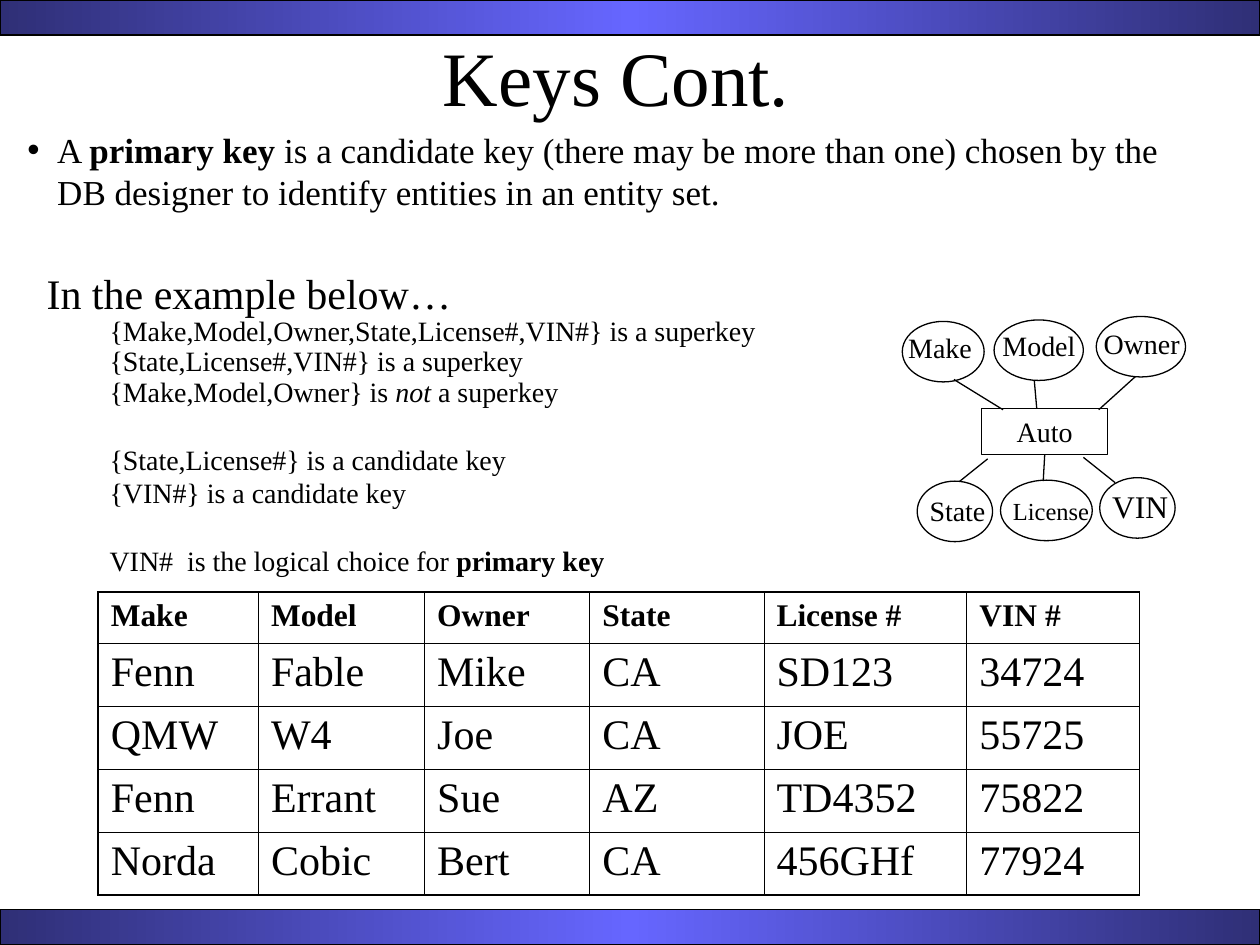
from copy import deepcopy
from dataclasses import dataclass
from typing import NamedTuple

from lxml import etree
from pptx import Presentation
from pptx.dml.color import RGBColor
from pptx.enum.shapes import MSO_CONNECTOR, MSO_SHAPE
from pptx.enum.text import MSO_ANCHOR, MSO_AUTO_SIZE, PP_ALIGN
from pptx.oxml.ns import qn
from pptx.util import Cm, Pt

RECT, OVAL = MSO_SHAPE.RECTANGLE, MSO_SHAPE.OVAL
LINE = MSO_CONNECTOR.STRAIGHT
MIDDLE, TOP = MSO_ANCHOR.MIDDLE, MSO_ANCHOR.TOP
CENTER, LEFT = PP_ALIGN.CENTER, PP_ALIGN.LEFT
FIT, FIXED = MSO_AUTO_SIZE.SHAPE_TO_FIT_TEXT, MSO_AUTO_SIZE.NONE


@dataclass(frozen=True)
class Theme:
    font: str = "Times New Roman"
    ink: RGBColor = RGBColor(0, 0, 0)
    edge: RGBColor = RGBColor(0x2F, 0x2F, 0x76)
    glow: RGBColor = RGBColor(0x66, 0x66, 0xFF)
    title: float = 44
    lead: float = 24
    body: float = 20
    head: float = 18
    note: float = 16
    small: float = 14
    line: float = 0.75
    thin: float = 0.45
    thick: float = 1.08


THEME = Theme()


class Box(NamedTuple):
    x: float
    y: float
    w: float
    h: float

    def lengths(self) -> list:
        return [Cm(v) for v in self]


class Run(NamedTuple):
    text: str
    bold: bool = False
    slant: bool = False


class Item(NamedTuple):
    runs: list[Run]
    space: float = 1.0
    before: float = 0


class Node(NamedTuple):
    """An attribute: its oval, its label's place, and the line to the entity."""
    name: str
    oval: Box
    label: Box
    start: tuple[float, float]
    end: tuple[float, float]
    size: float = THEME.note


GAP = 19.4  # about one line of note text
ITEMS = [
    Item([Run("{Make,Model,Owner,State,License#,VIN#} is a superkey")], 0.9),
    Item([Run("{State,License#,VIN#} is a superkey")], 0.9),
    Item([Run("{Make,Model,Owner} is "), Run("not", slant=True),
          Run(" a superkey")], 0.9),
    Item([Run("{State,License#} is a candidate key")], before=GAP),
    Item([Run("{VIN#} is a candidate key")]),
    Item([Run("VIN#  is the logical choice for "),
          Run("primary key", bold=True)], before=GAP),
]
KEY = [Run("A "), Run("primary key", bold=True),
       Run(" is a candidate key (there may be more than one) chosen by the "
           "DB designer to identify entities in an entity set.")]
COLS = [3.23, 3.35, 3.33, 3.51, 4.09, 3.48]
ROWS = [
    ["Make", "Model", "Owner", "State", "License #", "VIN #"],
    ["Fenn", "Fable", "Mike", "CA", "SD123", "34724"],
    ["QMW", "W4", "Joe", "CA", "JOE", "55725"],
    ["Fenn", "Errant", "Sue", "AZ", "TD4352", "75822"],
    ["Norda", "Cobic", "Bert", "CA", "456GHf", "77924"],
]
AUTO = Box(19.79, 8.23, 2.54, 0.94)
OVAL_H, LABEL_H = 1.22, 0.94
NODES = [
    Node("Model", Box(20.04, 6.45, 1.8, OVAL_H), Box(19.96, 6.5, 1.98, LABEL_H),
         (20.85, 7.67), (20.9, 8.23)),
    Node("Make", Box(18.19, 6.48, 1.65, OVAL_H), Box(18.06, 6.53, 1.78, LABEL_H),
         (19.23, 7.65), (20.22, 8.26)),
    Node("Owner", Box(22.1, 6.38, 1.8, OVAL_H), Box(22, 6.45, 2.03, LABEL_H),
         (22.89, 7.59), (22.15, 8.26)),
    Node("State", Box(18.49, 9.7, 1.52, OVAL_H), Box(18.49, 9.83, 1.63, LABEL_H),
         (19.35, 9.7), (19.91, 9.25)),
    Node("License", Box(20.17, 9.68, 1.85, OVAL_H), Box(20.17, 9.88, 2.03, 0.86),
         (21.03, 9.7), (21.06, 9.17), THEME.small),
    Node("VIN", Box(22.17, 9.63, 1.52, OVAL_H), Box(22.17, 9.7, 1.63, 1.02),
         (22.48, 9.73), (21.84, 9.22), THEME.head),
]


def write(para, runs: list[Run], size: float, align=LEFT, bold: bool = False) -> None:
    para.alignment = align
    font = para.font
    font.name, font.size, font.bold = THEME.font, Pt(size), bold
    font.color.rgb = THEME.ink
    for part in runs:
        run = para.add_run()
        run.text = part.text
        if part.bold:
            run.font.bold = True
        if part.slant:
            run.font.italic = True


def place(shape, box: Box) -> None:
    shape.left, shape.top, shape.width, shape.height = box.lengths()


def outline(shapes, kind, box: Box):
    shape = shapes.add_shape(kind, *box.lengths())
    shape.shadow.inherit = False
    shape.fill.background()
    shape.line.color.rgb, shape.line.width = THEME.ink, Pt(THEME.line)
    return shape


def add_bar(shapes, y: float) -> None:
    fill = outline(shapes, RECT, Box(0, y, 25.4, 0.71)).fill
    fill.gradient()
    fill.gradient_angle = 0
    for stop in fill.gradient_stops:
        stop.color.rgb = THEME.edge
    first = fill.gradient_stops[0]._element
    mid = deepcopy(first)
    mid.set("pos", "50000")
    first.addnext(mid)
    fill.gradient_stops[1].color.rgb = THEME.glow


def add_label(shapes, node: Node) -> None:
    """Write the name with no right inset, so that it stays on one line."""
    frame = shapes.add_textbox(*node.label.lengths()).text_frame
    frame.word_wrap, frame.auto_size = True, FIXED
    frame.margin_right = 0
    write(frame.paragraphs[0], [Run(node.name)], node.size)


def add_node(shapes, node: Node, auto) -> None:
    outline(shapes, OVAL, node.oval)
    add_label(shapes, node)
    line = shapes.add_connector(LINE, *[Cm(v) for v in node.start + node.end])
    line.line.color.rgb, line.line.width = THEME.ink, Pt(THEME.line)
    etree.SubElement(line._element.spPr, qn("a:effectLst"))
    if node.end == (round(AUTO.x + AUTO.w / 2, 2), round(AUTO.y + AUTO.h, 2)):
        line.end_connect(auto, 2)


def add_border(cell, widths: dict[str, float]) -> None:
    props = cell._tc.get_or_add_tcPr()
    for spot, (side, width) in enumerate(widths.items()):
        line = etree.Element(qn(f"a:ln{side}"), w=str(int(Pt(width))))
        fill = etree.SubElement(line, qn("a:solidFill"))
        etree.SubElement(fill, qn("a:srgbClr"), val=str(THEME.ink))
        props.insert(spot, line)


def add_grid(shapes, x: float, y: float) -> None:
    high = [1.02] + [1.27] * (len(ROWS) - 1)
    box = Box(x, y, sum(COLS), sum(high))
    grid = shapes.add_table(len(ROWS), len(COLS), *box.lengths()).table
    grid.first_row = grid.horz_banding = False
    for col, width in zip(grid.columns, COLS):
        col.width = Cm(width)
    for r, texts in enumerate(ROWS):
        grid.rows[r].height = Cm(high[r])
        for c, text in enumerate(texts):
            cell = grid.cell(r, c)
            cell.fill.background()
            size = THEME.lead if r else THEME.head
            write(cell.text_frame.paragraphs[0], [Run(text)], size, bold=r == 0)
            rim = {"L": c == 0, "R": c == len(COLS) - 1,
                   "T": r == 0, "B": r == len(ROWS) - 1}
            add_border(cell, {side: THEME.thick if out else THEME.thin
                              for side, out in rim.items()})


def add_list(shapes, box: Box) -> None:
    frame = shapes.add_textbox(*box.lengths()).text_frame
    frame.word_wrap, frame.auto_size = False, FIT
    write(frame.paragraphs[0], [Run("In the example below…")], THEME.lead)
    for item in ITEMS:
        para = frame.add_paragraph()
        para.level, para.line_spacing = 1, item.space
        para.space_before = Pt(item.before)
        para._p.get_or_add_pPr().set("marL", str(Cm(1.27)))
        write(para, item.runs, THEME.note)


def fill_heads(slide) -> None:
    title, body = slide.placeholders
    place(title, Box(1.63, 0.28, 21.59, 2.51))
    title.text_frame.vertical_anchor = MIDDLE
    write(title.text_frame.paragraphs[0], [Run("Keys Cont.")], THEME.title, CENTER)
    place(body, Box(0.3, 2.46, 24.33, 2.79))
    frame = body.text_frame
    frame.auto_size, frame.vertical_anchor = FIXED, TOP
    para = frame.paragraphs[0]
    para.space_before = Pt(0)
    props = para._p.get_or_add_pPr()
    props.set("marL", str(Cm(0.6)))
    props.set("indent", str(Cm(-0.6)))
    etree.SubElement(props, qn("a:buChar"), char="•")
    write(para, KEY, THEME.body)


def main() -> None:
    deck = Presentation()
    deck.slide_width, deck.slide_height = Cm(25.4), Cm(19.05)
    slide = deck.slides.add_slide(deck.slide_layouts[1])
    for y in (0, 18.34):
        add_bar(slide.shapes, y)
    fill_heads(slide)
    add_grid(slide.shapes, 1.98, 11.94)
    group = slide.shapes.add_group_shape().shapes
    auto = outline(group, RECT, AUTO)
    auto.text_frame.vertical_anchor = MIDDLE
    write(auto.text_frame.paragraphs[0], [Run("Auto")], THEME.note, CENTER)
    for node in NODES:
        add_node(group, node, auto)
    add_list(slide.shapes, Box(0.69, 5.26, 14.83, 6.48))
    deck.save("out.pptx")


if __name__ == "__main__":
    main()
